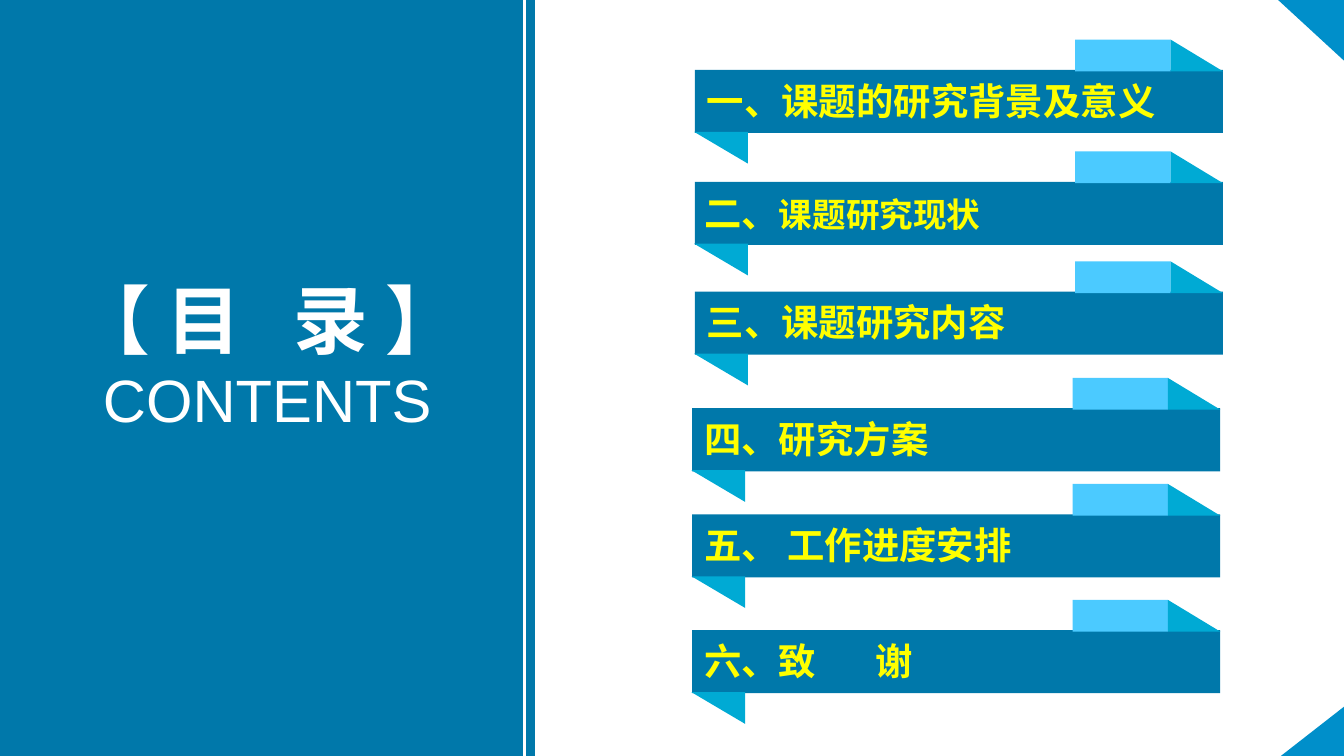
from pptx import Presentation
from pptx.dml.color import RGBColor
from pptx.enum.shapes import MSO_CONNECTOR, MSO_SHAPE
from pptx.enum.text import MSO_ANCHOR, MSO_AUTO_SIZE, PP_ALIGN
from pptx.oxml.ns import qn
from pptx.util import Inches, Pt
from lxml.etree import SubElement

THEME = {
    "font": "Arial",
    "panel": RGBColor(0x00, 0x78, 0xAA),
    "tab": RGBColor(0x4B, 0xCA, 0xFF),
    "fold": RGBColor(0x00, 0xAA, 0xD4),
    "corner": RGBColor(0x00, 0x8F, 0xCA),
    "white": RGBColor(0xFF, 0xFF, 0xFF),
    "item": RGBColor(0xFF, 0xFF, 0x00),
    "title_size": 40,
    "subtitle_size": 32,
    "item_size": 20,
    "small_size": 18,
}

prs = Presentation()
prs.slide_width = Inches(10)
prs.slide_height = prs.slide_width * 9 // 16
COL, ROW = prs.slide_width / 100, prs.slide_height / 100  # 100 x 100 grid
s = prs.slides.add_slide(prs.slide_layouts[5])


def add_block(kind, color, x, y, w, h, rotation=0):
    sp = s.shapes.add_shape(kind, int(x * COL), int(y * ROW), int(w * COL), int(h * ROW))
    sp.fill.solid()
    sp.fill.fore_color.rgb = THEME[color]
    sp.line.fill.background()
    sp.shadow.inherit = False
    sp.rotation = rotation


def add_run(p, text, size, color, bold=True, spacing=0):
    """Add a formatted run; spacing is extra points after each character."""
    r = p.add_run()
    r.text = text
    style = {"name": THEME["font"], "size": Pt(THEME[size]), "bold": bold}
    for name, value in style.items():
        setattr(r.font, name, value)
    r.font.color.rgb = THEME[color]
    if spacing:
        r._r.get_or_add_rPr().set("spc", str(spacing * 100))


RECT, TRIANGLE = MSO_SHAPE.RECTANGLE, MSO_SHAPE.RIGHT_TRIANGLE

# Left panel with the title
add_block(RECT, "panel", 0, -0.36, 39.8, 100.8)
title = s.shapes.title
s.shapes._spTree.append(title._element)  # bring in front of the panel
title.left, title.top = 0, int(35.3 * ROW)
title.width, title.height = int(39.8 * COL), int(23.11 * ROW)
tf = title.text_frame
tf.word_wrap = True
tf.auto_size = MSO_AUTO_SIZE.NONE
tf.vertical_anchor = MSO_ANCHOR.TOP
p = tf.paragraphs[0]
p.alignment = PP_ALIGN.CENTER
add_run(p, "【 目", "title_size", "white")
add_run(p, " ", "title_size", "white", spacing=19)
add_run(p, "录 】", "title_size", "white")
p = tf.add_paragraph()
p.alignment = PP_ALIGN.CENTER
add_run(p, "CONTENTS", "subtitle_size", "white", bold=False)

stripe = s.shapes.add_connector(
    MSO_CONNECTOR.STRAIGHT, int(39 * COL), int(-0.36 * ROW), int(39 * COL), int(100.44 * ROW))
stripe.line.color.rgb = THEME["white"]
stripe.line.width = Pt(1.5)
SubElement(stripe._element.spPr, qn("a:effectLst"))

# Right-hand corners
add_block(TRIANGLE, "corner", 95.1, 0, 5, 8.18, 180)
add_block(TRIANGLE, "corner", 95.6, 92.44, 3.9, 8.89, 270)

# Banners: left column, top row, text left, text width, runs as (text, size, spacing)
banners = [
    (51.7, 9.24, 51.6, 39.2, [("一、课题的研究背景及意义", "item_size", 0)]),
    (51.7, 24.04, 51.4, 25.2, [("二、", "item_size", 0), ("课题研究现状", "small_size", 0)]),
    (51.7, 38.58, 51.6, 41.7, [("三、课题研究内容", "item_size", 0)]),
    (51.5, 54, 51.4, 25.2, [("四、研究方案", "item_size", 0)]),
    (51.5, 68.03, 51.4, 25.2, [("五、 工作进度安排", "item_size", 0)]),
    (51.5, 83.36, 51.4, 25.2, [("六、致", "item_size", 0), (" ", "item_size", 27),
                              ("谢", "item_size", 0)]),
]
for x, y, text_x, text_width, runs in banners:
    add_block(RECT, "panel", x, y, 39.3, 8.35)
    add_block(RECT, "tab", x + 28.3, y - 4, 7.1, 4.2)
    add_block(TRIANGLE, "fold", x + 35.4, y - 4, 3.9, 4.2)
    add_block(TRIANGLE, "fold", x - 0.05, y + 8.2, 4, 4.2, 180)
    box = s.shapes.add_textbox(
        int(text_x * COL), int((y + 0.18) * ROW), int(text_width * COL), int(7.82 * ROW))
    tf = box.text_frame
    tf.word_wrap = True
    for text, size, spacing in runs:
        add_run(tf.paragraphs[0], text, size, "item", spacing=spacing)

prs.save("out.pptx")
